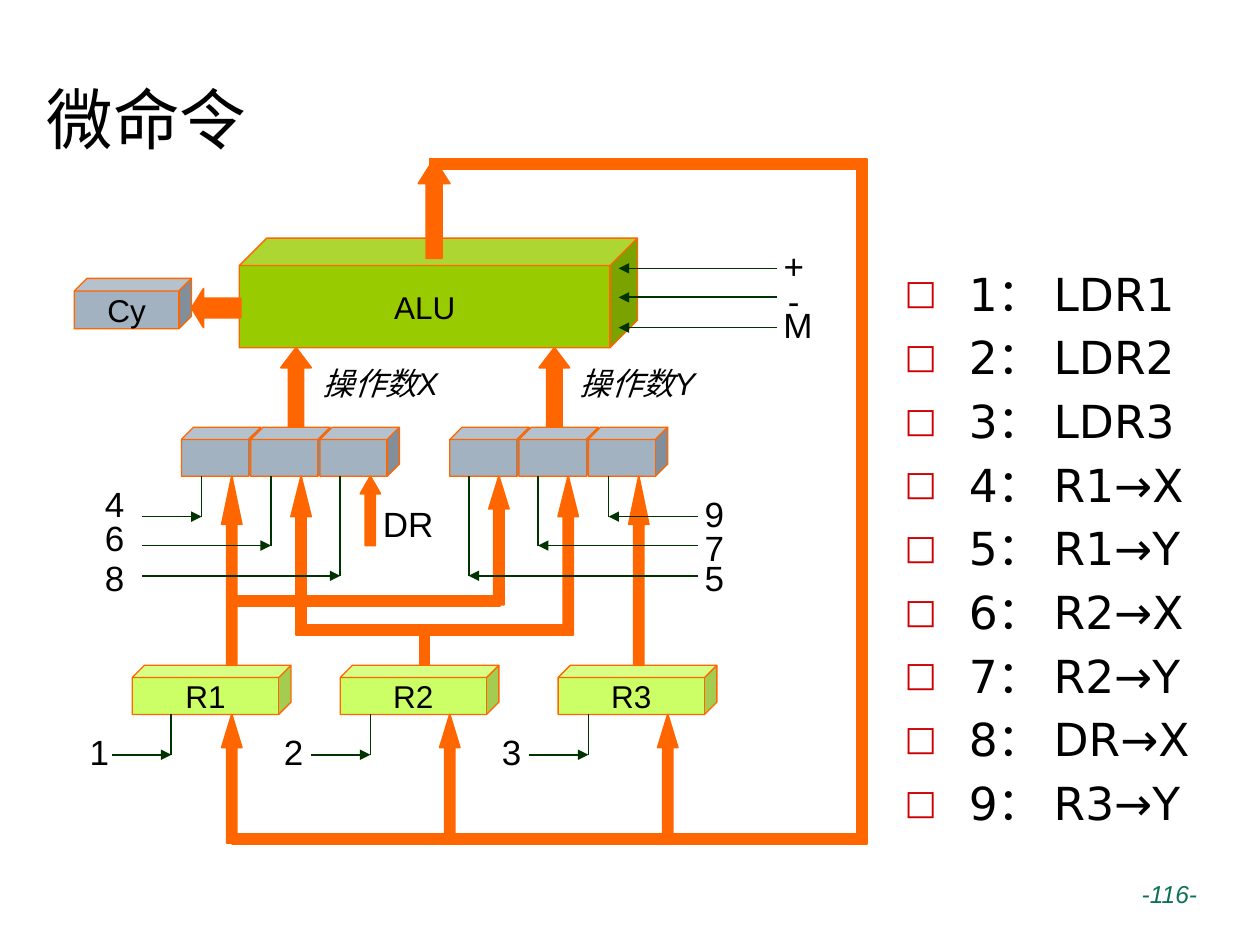
from dataclasses import dataclass
from typing import Any, Optional

import pptx
import pptx.dml.color
import pptx.enum.shapes
import pptx.enum.text
import pptx.oxml.ns
import pptx.util
from lxml import etree

EMU_PER_PX = 9144  # 100 px to the inch
COLORS = {
    "text": "000000", "bus": "FF6600", "alu": "99CC00", "gate": "A3B2C1",
    "register": "CCFF66", "signal": "003300", "bullet": "CC0000", "page": "0D7157",
}
SHAPES = pptx.enum.shapes.MSO_SHAPE
ALIGN = pptx.enum.text.PP_ALIGN
ANCHOR = pptx.enum.text.MSO_ANCHOR
NO_FIT = pptx.enum.text.MSO_AUTO_SIZE.NONE
BUS_WIDTH = 8
GATE_BOTTOM = 378
REGISTER_BOTTOM = 567


@dataclass(frozen=True)
class Box:
    left: int
    top: int
    width: int
    height: int

    def emu(self) -> list[int]:
        return [px(n) for n in (self.left, self.top, self.width, self.height)]


@dataclass(frozen=True)
class Cube:
    box: Box
    color: str
    name: str = ""


@dataclass(frozen=True)
class Arrow:
    box: Box
    head: float
    kind: Any = SHAPES.UP_ARROW


@dataclass(frozen=True)
class Signal:
    """A control line from its label to an arrowhead, then up to a pin."""
    name: str
    label: Box
    start: int
    end: int
    y: int
    pin: Optional[int] = None


def px(length: int) -> int:
    return pptx.util.Emu(length * EMU_PER_PX)


def rgb(name: str) -> pptx.dml.color.RGBColor:
    return pptx.dml.color.RGBColor.from_string(COLORS[name])


def apply(target: Any, **values: Any) -> None:
    for name, value in values.items():
        setattr(target, name, value)


def write(paragraph: Any, text: str, size: int, face: str = "Arial",
          color: str = "text", italic: bool = False) -> None:
    run = paragraph.add_run()
    run.text = text
    apply(run.font, size=pptx.util.Pt(size), name=face, italic=italic)
    run.font.color.rgb = rgb(color)
    east_asian = etree.SubElement(run.font._element, pptx.oxml.ns.qn("a:ea"))
    east_asian.set("typeface", "Noto Sans CJK SC")


def add_label(slide: Any, text: str, box: Box, size: int = 20, wrap: bool = False,
              align: Any = ALIGN.CENTER, **style: Any) -> None:
    frame = slide.shapes.add_textbox(*box.emu()).text_frame
    frame.word_wrap = wrap
    frame.paragraphs[0].alignment = align
    write(frame.paragraphs[0], text, size, **style)


def add_block(slide: Any, kind: Any, box: Box, color: str, line: float = 1) -> Any:
    block = slide.shapes.add_shape(kind, *box.emu())
    block.shadow.inherit = False
    block.fill.solid()
    block.fill.fore_color.rgb = rgb(color)
    block.line.color.rgb = rgb("bus")
    block.line.width = pptx.util.Pt(line)
    return block


def add_cube(slide: Any, cube: Cube) -> None:
    block = add_block(slide, SHAPES.CUBE, cube.box, cube.color, 0.75)
    block.adjustments[0] = 0.25
    if cube.name:
        frame = block.text_frame
        apply(frame, word_wrap=False, vertical_anchor=ANCHOR.MIDDLE)
        frame.paragraphs[0].alignment = ALIGN.CENTER
        write(frame.paragraphs[0], cube.name, 18)


def add_arrow(slide: Any, arrow: Arrow) -> None:
    block = add_block(slide, arrow.kind, arrow.box, "bus")
    block.adjustments[0] = 0.5
    block.adjustments[1] = arrow.head


def add_wire(slide: Any, start: tuple[int, int], end: tuple[int, int],
             arrowhead: bool = False) -> None:
    wire = slide.shapes.add_connector(
        pptx.enum.shapes.MSO_CONNECTOR.STRAIGHT, *map(px, start + end))
    wire.line.color.rgb = rgb("signal")
    wire.line.width = pptx.util.Pt(1)
    if arrowhead:
        tail = etree.SubElement(wire.line._get_or_add_ln(), pptx.oxml.ns.qn("a:tailEnd"))
        tail.set("type", "triangle")
    etree.SubElement(wire._element.spPr, pptx.oxml.ns.qn("a:effectLst"))


def add_signal(slide: Any, signal: Signal) -> None:
    add_wire(slide, (signal.start, signal.y), (signal.end, signal.y), True)
    if signal.pin is not None:
        add_wire(slide, (signal.end, signal.y), (signal.end, signal.pin))
    add_label(slide, signal.name, signal.label)


def place(placeholder: Any, box: Box, anchor: Any) -> Any:
    apply(placeholder, **dict(zip(("left", "top", "width", "height"), box.emu())))
    apply(placeholder.text_frame, word_wrap=True, auto_size=NO_FIT, vertical_anchor=anchor)
    return placeholder.text_frame


def fill_commands(frame: Any, commands: list[str]) -> None:
    for number, command in enumerate(commands, 1):
        paragraph = frame.paragraphs[0] if number == 1 else frame.add_paragraph()
        properties = paragraph._p.get_or_add_pPr()
        properties.set("marL", str(px(51)))
        properties.set("indent", str(px(-51)))
        paragraph.space_before = pptx.util.Pt(0 if number == 1 else 5.2)
        for tag, key, value in (("buClr", "", ""), ("buSzPct", "val", "75000"),
                                ("buFont", "typeface", "DejaVu Sans"), ("buChar", "char", "□")):
            bullet = etree.SubElement(properties, pptx.oxml.ns.qn(f"a:{tag}"))
            if key:
                bullet.set(key, value)
            else:
                color = etree.SubElement(bullet, pptx.oxml.ns.qn("a:srgbClr"))
                color.set("val", COLORS["bullet"])
        write(paragraph, f"{number}： {command}", 26, "DejaVu Sans")


def main() -> None:
    deck = pptx.Presentation()
    apply(deck, slide_width=px(1000), slide_height=px(750))
    slide = deck.slides.add_slide(deck.slide_layouts[1])
    title, body = slide.placeholders
    heading = place(title, Box(27, 5, 934, 125), ANCHOR.BOTTOM).paragraphs[0]
    heading.alignment = ALIGN.LEFT
    write(heading, "微命令", 38, "Noto Sans CJK SC")
    fill_commands(place(body, Box(708, 206, 270, 448), ANCHOR.TOP),
                  ["LDR1", "LDR2", "LDR3", "R1→X", "R1→Y", "R2→X", "R2→Y", "DR→X", "R3→Y"])

    cubes = [Cube(Box(190, 189, 316, 87), "alu", "ALU"),
             Cube(Box(59, 221, 93, 40), "gate", "Cy")]
    cubes += [Cube(Box(bank + 55 * i, 339, 63, 39), "gate")
              for bank in (144, 357) for i in range(3)]
    cubes += [Cube(Box(x, 528, 126, 39), "register", f"R{i}")
              for i, x in enumerate((105, 270, 443), 1)]
    for cube in cubes:
        add_cube(slide, cube)

    arrows = [Arrow(Box(x, 276, 24, 63), 0.66) for x in (223, 428)]
    arrows += [Arrow(Box(332, 126, 25, 79), 0.79),
               Arrow(Box(152, 229, 39, 31), 0.31, SHAPES.LEFT_ARROW)]
    arrows += [Arrow(Box(x, GATE_BOTTOM, 16, height), head) for x, height, head in (
        (176, 150, 2.39), (499, 150, 2.39), (388, 102, 1.62),
        (231, 126, 2), (443, 126, 2), (286, 55, 0.87))]
    arrows += [Arrow(Box(x, REGISTER_BOTTOM, 16, 102), 1.64) for x in (176, 349, 522)]
    for arrow in arrows:
        add_arrow(slide, arrow)

    for left, top, length in ((341, 126, 347), (239, 496, 212), (184, 662, 504), (184, 473, 213)):
        add_block(slide, SHAPES.RECTANGLE, Box(left, top, length, BUS_WIDTH), "bus")
    for left, top, length in ((680, 134, 528), (333, 496, 32)):
        add_block(slide, SHAPES.RECTANGLE, Box(left, top, BUS_WIDTH, length), "bus")

    signals = [Signal(str(i), Box(label, 575, 36, 43), end - 47, end, 599, REGISTER_BOTTOM)
               for i, (label, end) in enumerate(((61, 136), (215, 294), (388, 467)), 1)]
    signals += [Signal(name, Box(label, top, 36, 43), start, end, y, GATE_BOTTOM)
                for label, start, rows in (
                    (73, 113, (("4", 378, 160, 410), ("6", 405, 215, 433), ("8", 437, 270, 457))),
                    (549, 554, (("9", 386, 483, 410), ("7", 413, 427, 433), ("5", 437, 372, 457))))
                for name, top, end, y in rows]
    signals += [Signal(name, Box(612, top, 36, 43), 617, 491, y)
                for name, top, y in (("+", 189, 213), ("-", 217, 236), ("M", 236, 260))]
    for signal in signals:
        add_signal(slide, signal)

    for name, left in (("操作数X", 231), ("操作数Y", 435)):
        add_label(slide, name, Box(left, 284, 142, 40), 18, wrap=True, italic=True)
    add_label(slide, "DR", Box(294, 394, 60, 43))
    add_label(slide, "-116-", Box(854, 693, 106, 52), 14, wrap=True, align=ALIGN.RIGHT,
              color="page", italic=True)
    deck.save("out.pptx")


if __name__ == "__main__":
    main()
